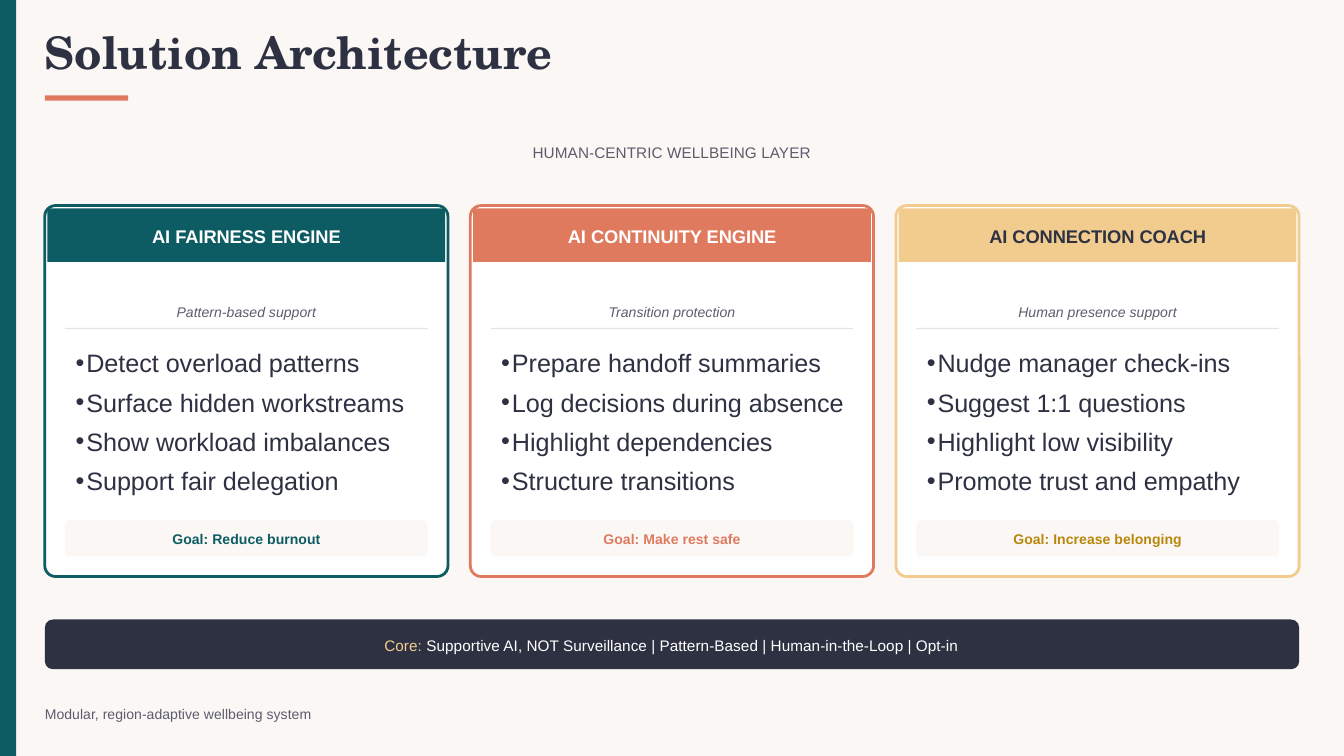
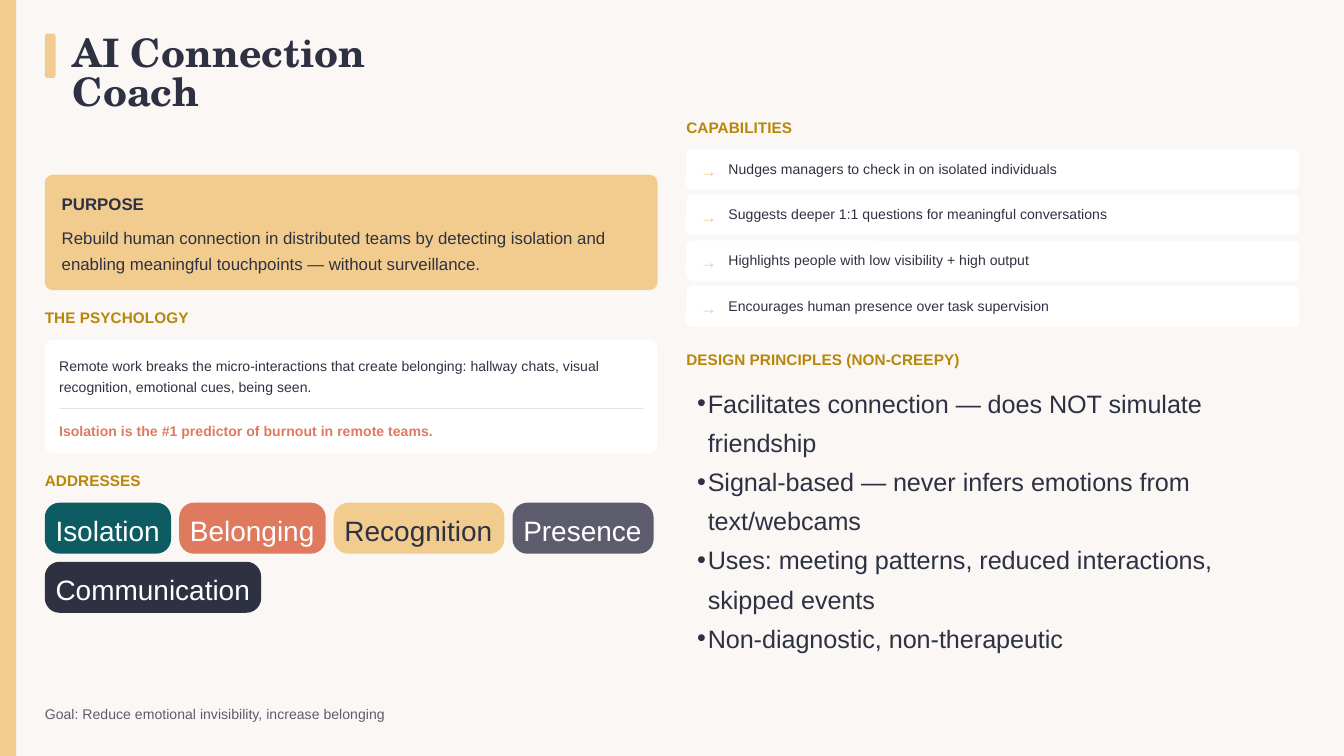
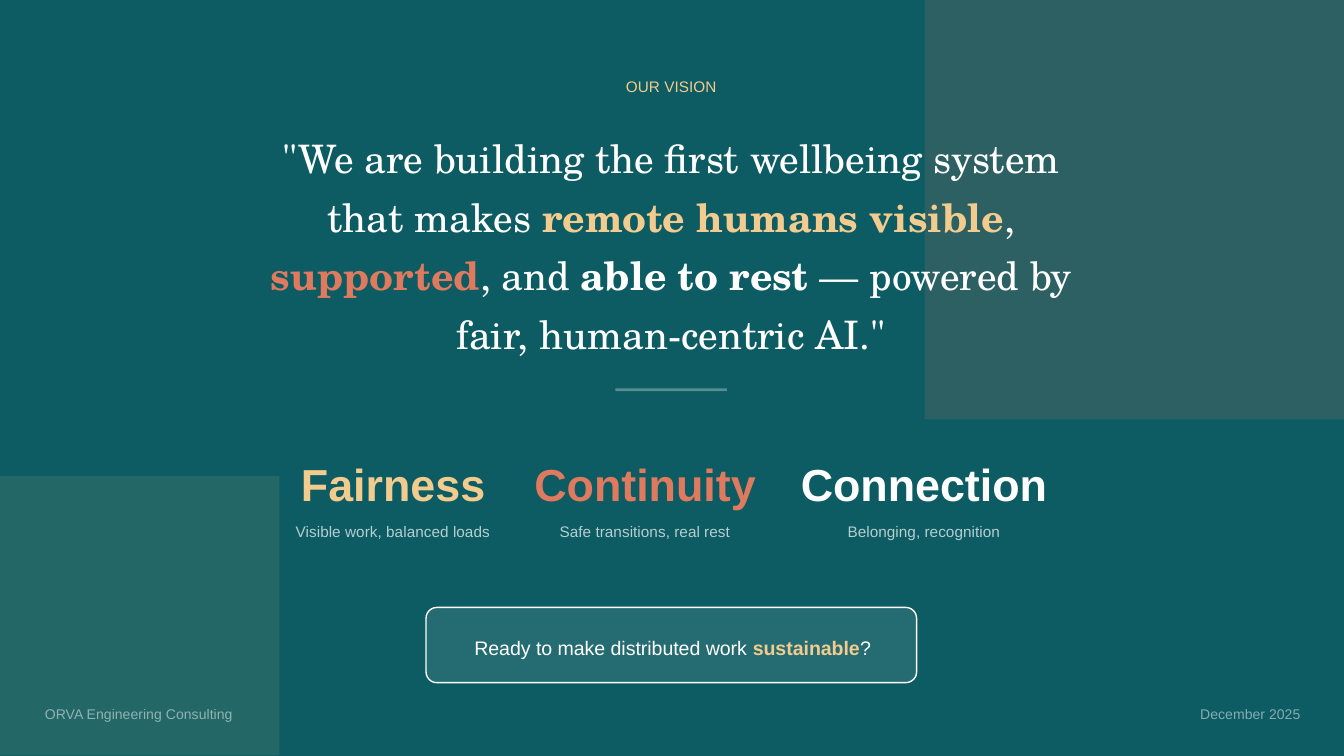
from lxml import etree
from pptx import Presentation
from pptx.dml.color import RGBColor
from pptx.enum.shapes import MSO_CONNECTOR, MSO_SHAPE
from pptx.enum.text import MSO_ANCHOR, MSO_AUTO_SIZE, PP_ALIGN
from pptx.oxml.ns import qn
from pptx.util import Inches, Pt

RECTANGLE, ROUNDED = MSO_SHAPE.RECTANGLE, MSO_SHAPE.ROUNDED_RECTANGLE
STRAIGHT = MSO_CONNECTOR.STRAIGHT
LEFT, CENTER = PP_ALIGN.LEFT, PP_ALIGN.CENTER
TOP, NO_FIT = MSO_ANCHOR.TOP, MSO_AUTO_SIZE.NONE
TITLE_ONLY, BLANK = 5, 6

# Shared colours, fonts and measures
TEAL = RGBColor(0x0D, 0x5C, 0x63)
CORAL = RGBColor(0xE0, 0x7A, 0x5F)
SAND = RGBColor(0xF2, 0xCC, 0x8F)
GOLD = RGBColor(0xB8, 0x86, 0x0B)
INK = RGBColor(0x2D, 0x31, 0x42)
GRAY = RGBColor(0x5C, 0x5C, 0x6D)
RULE = RGBColor(0xE8, 0xE4, 0xE1)
CREAM = RGBColor(0xFA, 0xF7, 0xF5)
WHITE = RGBColor(0xFF, 0xFF, 0xFF)
SANS, SERIF = "Arial", "TeX Gyre Schola"
WIDTH = 10
HEIGHT = WIDTH * 9 / 16
MARGIN = WIDTH / 30
BULLET_INDENT = 0.08


def text_style(size, spacing, color=INK, name=SANS, align=LEFT, **font):
    return {"font": {"size": Pt(size), "name": name, "bold": False, **font},
            "paragraph": {"line_spacing": Pt(spacing), "alignment": align},
            "color": color}


def vary(style, color=None, **paragraph):
    return {**style, "color": color or style["color"],
            "paragraph": {**style["paragraph"], **paragraph}}


SMALL = text_style(7.5, 10.5)
SMALL_BOLD = text_style(7.5, 10.5, bold=True)
NOTE = text_style(7.5, 10.5, GRAY)
LABEL = text_style(8.25, 11.55, align=CENTER)
SECTION = text_style(8.25, 11.55, GOLD, bold=True)
CARD_TITLE = text_style(9.75, 13.65, align=CENTER, bold=True)
TAGLINE = text_style(7.5, 10.5, GRAY, align=CENTER, italic=True)
BULLETS = text_style(13.5, 21)
PILL = text_style(15, 21)
PILLAR = text_style(24, 33.6, align=CENTER, bold=True)
QUOTE = text_style(21, 31.5, WHITE, SERIF, CENTER)
CALL = text_style(10.5, 14.7, WHITE, align=CENTER)

# Slide 1 content
ENGINES = [
    ("AI FAIRNESS ENGINE", "Pattern-based support",
     ["Detect overload patterns", "Surface hidden workstreams",
      "Show workload imbalances", "Support fair delegation"],
     "Goal: Reduce burnout", TEAL, WHITE, TEAL),
    ("AI CONTINUITY ENGINE", "Transition protection",
     ["Prepare handoff summaries", "Log decisions during absence",
      "Highlight dependencies", "Structure transitions"],
     "Goal: Make rest safe", CORAL, WHITE, CORAL),
    ("AI CONNECTION COACH", "Human presence support",
     ["Nudge manager check-ins", "Suggest 1:1 questions",
      "Highlight low visibility", "Promote trust and empathy"],
     "Goal: Increase belonging", SAND, INK, GOLD),
]
CORE = [("Core:", SAND, False),
        (" Supportive AI, NOT Surveillance | Pattern-Based | "
         "Human-in-the-Loop | Opt-in", WHITE, False)]

# Slide 2 content
PURPOSE = ("Rebuild human connection in distributed teams by detecting isolation "
           "and enabling meaningful touchpoints — without surveillance.")
PSYCHOLOGY = ("Remote work breaks the micro-interactions that create belonging: "
              "hallway chats, visual recognition, emotional cues, being seen.")
ISOLATION = "Isolation is the #1 predictor of burnout in remote teams."
NEEDS = [("Isolation", 0.94, TEAL, WHITE), ("Belonging", 1.09, CORAL, WHITE),
         ("Recognition", 1.27, SAND, INK), ("Presence", 1.05, GRAY, WHITE),
         ("Communication", 1.61, INK, WHITE)]
CAPABILITIES = [("Nudges managers to check in on isolated individuals", 2.47),
                ("Suggests deeper 1:1 questions for meaningful conversations", 2.85),
                ("Highlights people with low visibility + high output", 2.27),
                ("Encourages human presence over task supervision", 2.42)]
PRINCIPLES = ["Facilitates connection — does NOT simulate friendship",
              "Signal-based — never infers emotions from text/webcams",
              "Uses: meeting patterns, reduced interactions, skipped events",
              "Non-diagnostic, non-therapeutic"]

# Slide 3 content
VISION = [("\"We are building the first wellbeing system that makes ", WHITE, False),
          ("remote humans visible", SAND, True), (", ", WHITE, False),
          ("supported", CORAL, True), (", and ", WHITE, False),
          ("able to rest", WHITE, True),
          (" — powered by fair, human-centric AI.\"", WHITE, False)]
PILLARS = [("Fairness", "Visible work, balanced loads", 1.47, SAND),
           ("Continuity", "Safe transitions, real rest", 1.68, CORAL),
           ("Connection", "Belonging, recognition", 1.87, WHITE)]
QUESTION = [("Ready to make distributed work ", WHITE, False),
            ("sustainable", SAND, True), ("?", WHITE, False)]
CREDITS = [("ORVA Engineering Consulting", MARGIN, 1.42),
           ("December 2025", 8.93, 0.76)]


# Helpers
def set_alpha(element, percent):
    for color in element.iter(qn("a:srgbClr")):
        etree.SubElement(color, qn("a:alpha")).set("val", str(percent * 1000))


def add_block(slide, box, fill, radius=0, line=None, line_width=1.5, alpha=None):
    """Draw a rectangle, rounded when a corner radius is given."""
    shape = slide.shapes.add_shape(ROUNDED if radius else RECTANGLE, *map(Inches, box))
    shape.shadow.inherit = False
    if radius:
        shape.adjustments[0] = radius / min(box[2:])
    shape.fill.solid()
    shape.fill.fore_color.rgb = fill
    if alpha:
        set_alpha(shape.fill._xPr, alpha)
    if line:
        shape.line.color.rgb = line
        shape.line.width = Pt(line_width)
    else:
        shape.line.fill.background()


def add_bullet(paragraph):
    properties = paragraph._p.get_or_add_pPr()
    properties.set("marL", str(Inches(BULLET_INDENT)))
    properties.set("indent", str(-Inches(BULLET_INDENT)))
    etree.SubElement(properties, qn("a:buFont")).set("typeface", SANS)
    etree.SubElement(properties, qn("a:buChar")).set("char", "•")


def fill_text(shape, paragraphs, style, bullets=False, alpha=None):
    """Each paragraph is a string or a list of (text, color, bold) runs."""
    frame = shape.text_frame
    settings = {"word_wrap": True, "auto_size": NO_FIT, "vertical_anchor": TOP,
                "margin_left": Inches(BULLET_INDENT if bullets else 0),
                "margin_top": 0, "margin_right": 0, "margin_bottom": 0}
    for name, value in settings.items():
        setattr(frame, name, value)
    for index, content in enumerate(paragraphs):
        paragraph = frame.add_paragraph() if index else frame.paragraphs[0]
        for name, value in style["paragraph"].items():
            setattr(paragraph, name, value)
        if bullets:
            add_bullet(paragraph)
        if isinstance(content, str):
            content = [(content, style["color"], style["font"]["bold"])]
        for text, color, bold in content:
            run = paragraph.add_run()
            run.text = text
            for name, value in {**style["font"], "bold": bold}.items():
                setattr(run.font, name, value)
            run.font.color.rgb = color
            if alpha:
                set_alpha(run._r, alpha)


def add_text(slide, content, box, style, alpha=None):
    shape = slide.shapes.add_textbox(*map(Inches, box))
    fill_text(shape, [content], style, alpha=alpha)


def add_bullets(slide, items, box):
    shape = slide.shapes.add_textbox(*map(Inches, box))
    fill_text(shape, items, BULLETS, bullets=True)


def add_divider(slide, left, right, top):
    connector = slide.shapes.add_connector(
        STRAIGHT, *map(Inches, (left, top, right, top)))
    connector.line.color.rgb = RULE
    connector.line.width = Pt(0.75)
    etree.SubElement(connector._element.spPr, qn("a:effectLst"))


def new_slide(presentation, layout, background):
    slide = presentation.slides.add_slide(presentation.slide_layouts[layout])
    slide.background.fill.solid()
    slide.background.fill.fore_color.rgb = background
    return slide


def new_content_slide(presentation, title, title_box, size, spacing, band, footer):
    slide = new_slide(presentation, TITLE_ONLY, CREAM)
    add_block(slide, (0, 0, 0.12, HEIGHT), band)
    shape = slide.shapes.title
    for name, value in zip(("left", "top", "width", "height"), title_box):
        setattr(shape, name, Inches(value))
    fill_text(shape, [title], text_style(size, spacing, name=SERIF, bold=True))
    add_text(slide, footer, (MARGIN, 5.23, 9.52, 0.15), NOTE)
    return slide


# Slides
def build_architecture(presentation):
    slide = new_content_slide(
        presentation, "Solution Architecture", (MARGIN, 0.25, 4.9, 0.33), 24, 24,
        TEAL, "Modular, region-adaptive wellbeing system")
    add_block(slide, (MARGIN, 0.71, 0.62, 0.04), CORAL)
    add_text(slide, "HUMAN-CENTRIC WELLBEING LAYER", (0.24, 1.04, 9.52, 0.16),
             vary(LABEL, GRAY))

    # Engine cards
    card_width = 3
    gap = (WIDTH - 2 * MARGIN - len(ENGINES) * card_width) / (len(ENGINES) - 1)
    for index, engine in enumerate(ENGINES):
        title, tagline, features, goal, accent, title_color, goal_color = engine
        left = MARGIN + index * (card_width + gap)

        def inset(margin, top, height):
            return left + margin, top, card_width - 2 * margin, height

        add_block(slide, inset(0, 1.53, 2.76), WHITE, 0.08, accent)
        add_block(slide, inset(0.02, 1.55, 0.4), accent)
        add_text(slide, title, inset(0.14, 1.65, 0.19), vary(CARD_TITLE, title_color))
        add_text(slide, tagline, inset(0.12, 2.24, 0.15), TAGLINE)
        add_block(slide, inset(0.15, 2.44, 0.01), RULE)
        add_bullets(slide, features, inset(0.15, 2.52, 1.29))
        add_block(slide, inset(0.15, 3.87, 0.27), CREAM, 0.04)
        add_text(slide, goal, inset(0.19, 3.93, 0.15),
                 vary(SMALL_BOLD, goal_color, alignment=CENTER))

    # Core principle bar
    add_block(slide, (MARGIN, 4.61, WIDTH - 2 * MARGIN, 0.37), INK, 0.06)
    add_text(slide, CORE, (0.45, 4.71, 9.1, 0.16), LABEL)


def build_coach(presentation):
    slide = new_content_slide(
        presentation, "AI Connection Coach", (0.54, 0.27, 2.74, 0.29), 21, 21,
        SAND, "Goal: Reduce emotional invisibility, increase belonging")
    add_block(slide, (MARGIN, 0.25, 0.08, 0.33), SAND, 0.02)
    column_width = 4.56
    right_column = WIDTH - MARGIN - column_width

    # Section headings
    for heading, left, top, before in [
            ("THE PSYCHOLOGY", MARGIN, 2.27, 0), ("ADDRESSES", MARGIN, 3.48, 0),
            ("CAPABILITIES", right_column, 0.86, 0),
            ("DESIGN PRINCIPLES (NON-CREEPY)", right_column, 2.58, 4.5)]:
        add_text(slide, heading, (left, top, 4.65, 0.16),
                 vary(SECTION, space_before=Pt(before)))

    # Purpose and psychology
    add_block(slide, (MARGIN, 1.3, column_width, 0.86), SAND, 0.06)
    add_text(slide, "PURPOSE", (0.46, 1.42, 4.4, 0.17),
             vary(text_style(9, 12.6, bold=True), space_after=Pt(4.5)))
    add_text(slide, PURPOSE, (0.46, 1.66, 4.4, 0.38), text_style(9, 13.5))
    add_block(slide, (MARGIN, 2.53, column_width, 0.84), WHITE, 0.06)
    add_text(slide, PSYCHOLOGY, (0.44, 2.63, 4.44, 0.31), text_style(7.5, 11.25))
    add_divider(slide, 0.44, 4.79, 3.04)
    add_text(slide, ISOLATION, (0.44, 3.12, 4.44, 0.15), vary(SMALL_BOLD, CORAL))

    # Pills flow from left to right and wrap at the column edge
    left, top, pill_height, gap = MARGIN, 3.74, 0.38, 0.06
    for need, width, fill, color in NEEDS:
        if left + width > MARGIN + column_width:
            left, top = MARGIN, top + pill_height + gap
        add_block(slide, (left, top, width, pill_height), fill, 0.11)
        add_text(slide, need, (left + 0.08, top + 0.04, width - 0.14, 0.29),
                 vary(PILL, color))
        left += width + gap

    # Capability rows
    for index, (capability, text_width) in enumerate(CAPABILITIES):
        top = 1.11 + index * 0.34
        add_block(slide, (right_column, top, column_width, 0.3), WHITE, 0.04)
        add_text(slide, "→", (5.21, top + 0.06, 0.13, 0.17), text_style(9, 12.6, SAND))
        add_text(slide, capability, (5.42, top + 0.06, text_width, 0.15), SMALL)
    add_bullets(slide, PRINCIPLES, (right_column, 2.82, column_width, 2.17))


def build_vision(presentation):
    slide = new_slide(presentation, BLANK, TEAL)
    corner = 3.12
    add_block(slide, (WIDTH - corner, 0, corner, corner), CORAL, alpha=15)
    add_block(slide, (0, 3.54, 2.08, 2.08), SAND, alpha=10)

    # Quote
    add_text(slide, "OUR VISION", (1.92, 0.55, 6.15, 0.16),
             vary(LABEL, SAND, space_after=Pt(15)))
    add_text(slide, VISION, (1.92, 0.91, 6.15, 1.31), vary(QUOTE, space_after=Pt(18)))
    add_block(slide, (4.58, 2.89, 0.83, 0.02), WHITE, alpha=30)

    # Pillars
    left, gap = 2.19, 0.3
    for name, promise, width, color in PILLARS:
        add_text(slide, name, (left, 3.33, width, 0.47), vary(PILLAR, color))
        add_text(slide, promise, (left, 3.86, width, 0.16),
                 vary(LABEL, WHITE, space_before=Pt(4.5)), alpha=70)
        left += width + gap

    # Closing question and credits
    add_block(slide, (3.17, 4.52, 3.65, 0.56), WHITE, 0.08, WHITE, 0.75, alpha=10)
    add_text(slide, QUESTION, (3.49, 4.7, 3.03, 0.2), CALL)
    for credit, left, width in CREDITS:
        add_text(slide, credit, (left, 5.23, width, 0.15), vary(SMALL, WHITE), alpha=50)


def main():
    presentation = Presentation()
    presentation.slide_width = Inches(WIDTH)
    presentation.slide_height = Inches(HEIGHT)
    build_architecture(presentation)
    build_coach(presentation)
    build_vision(presentation)
    presentation.save("out.pptx")


if __name__ == "__main__":
    main()
